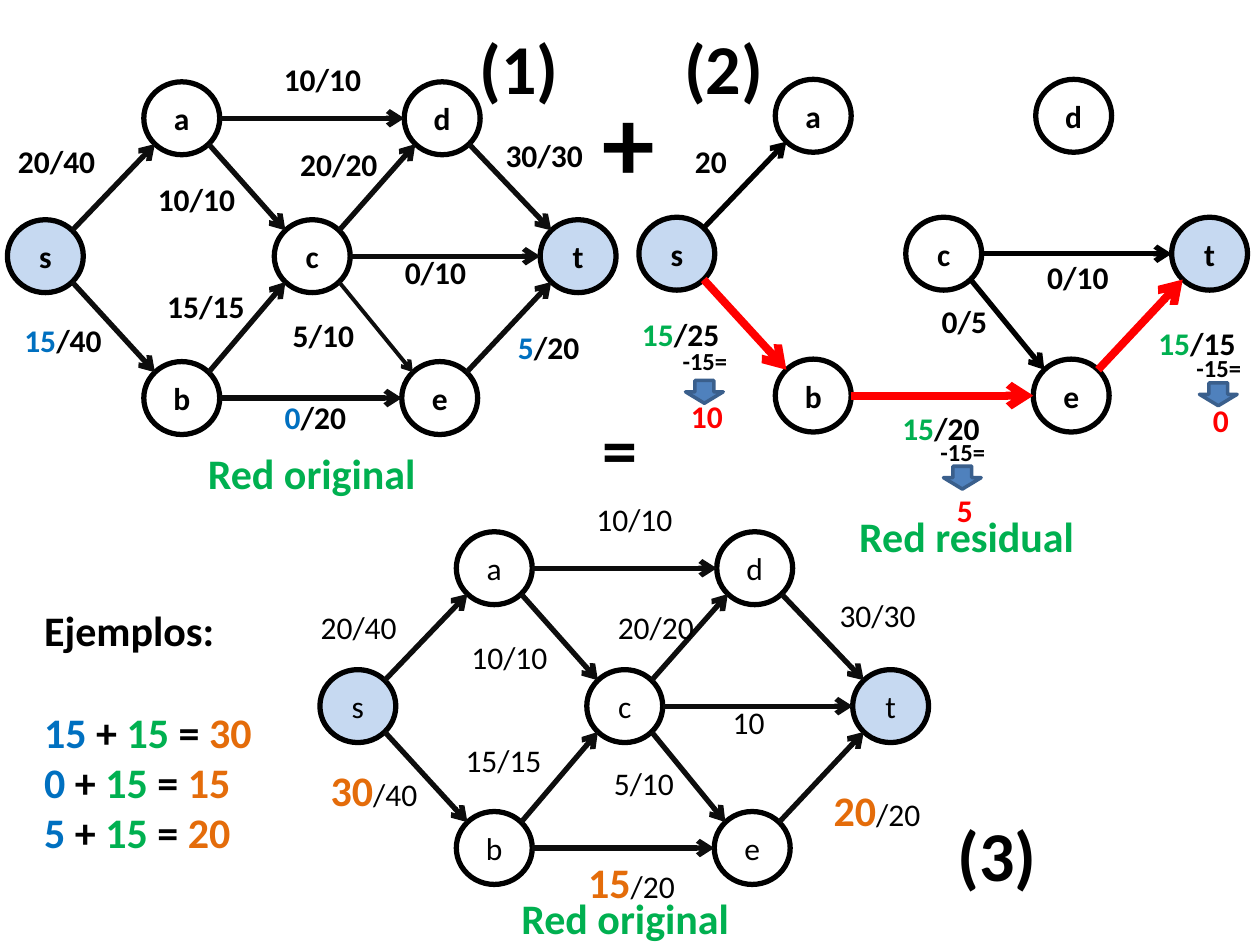
from lxml.etree import SubElement
from pptx import Presentation
from pptx.dml.color import RGBColor
from pptx.enum.shapes import MSO_CONNECTOR, MSO_SHAPE
from pptx.enum.text import MSO_ANCHOR, MSO_AUTO_SIZE, PP_ALIGN
from pptx.oxml.ns import qn
from pptx.util import Cm, Pt

COLORS = {"black": "000000", "ink": "0D0D0D", "pale": "C6D9F1", "blue": "0070C0",
          "green": "00B050", "orange": "E46C0A", "red": "FF0000",
          "arrow": "4F81BD", "outline": "3A5F8C"}
FONT = "Calibri"
NODE_W, NODE_H = 1.53, 1.47
NODES = {"s": (0, 2.78), "a": (2.75, 0), "b": (2.75, 5.64), "c": (5.38, 2.78),
         "d": (8, 0), "e": (7.95, 5.64), "t": (10.74, 2.78)}

# Each edge: end nodes, label ("|" ends the highlighted part), label centre x, label top
GRAPHS = [
    {"origin": (0.15, 1.65), "bold": True, "line": "ink", "lead": ("blue", 18),
     "thin": ("ce",), "flow": (),
     "edges": [("sa", "20/40", 1.14, 2.74), ("sb", "15|/40", 1.27, 6.35),
               ("ad", "10/10", 6.5, 1.09), ("ac", "10/10", 3.96, 3.51),
               ("bc", "15/15", 4.15, 5.66), ("be", "0|/20", 6.36, 7.9),
               ("cd", "20/20", 6.83, 2.79), ("ct", "0/10", 8.78, 4.98),
               ("ce", "5/10", 6.52, 6.25), ("dt", "30/30", 10.97, 2.62),
               ("et", "5|/20", 11.06, 6.48)]},
    {"origin": (12.88, 1.6), "bold": True, "line": "black", "lead": ("green", 18),
     "thin": (), "flow": ("sb", "be", "et"),
     "edges": [("sa", "20", 14.33, 2.74), ("sb", "15|/25", 13.72, 6.22),
               ("be", "15|/20", 18.97, 8.13), ("et", "15|/15", 24.13, 6.4),
               ("ct", "0/10", 21.73, 5.08), ("ce", "0/5", 19.44, 5.97)]},
    {"origin": (6.45, 10.72), "bold": False, "line": "ink", "lead": ("orange", 24),
     "thin": (), "flow": (),
     "edges": [("sa", "20/40", 7.23, 12.14), ("sb", "30|/40", 7.54, 15.29),
               ("ad", "10/10", 12.79, 9.96), ("ac", "10/10", 10.27, 12.73),
               ("bc", "15/15", 10.15, 14.81), ("be", "15|/20", 12.73, 17.15),
               ("cd", "20/20", 13.22, 12.14), ("ct", "10", 15.09, 14.05),
               ("ce", "5/10", 12.98, 15.27), ("dt", "30/30", 17.69, 11.89),
               ("et", "20|/20", 17.68, 15.7)]},
]
CAPTIONS = [("+", 11.89, 1.42, 1.83, 2.82, 60, "black"),
            ("=", 11.89, 8.05, 1.83, 1.96, 40, "black"),
            ("(1)", 9.42, 0.36, 4.24, 1.96, 40, "black"),
            ("(2)", 13.54, 0.36, 4.24, 1.96, 40, "black"),
            ("(3)", 19.05, 16.23, 4.24, 1.96, 40, "black"),
            ("Red original", 3.94, 8.89, 10.8, 1.27, 24, "green"),
            ("Red residual", 17.07, 10.16, 7.06, 1.27, 24, "green"),
            ("Red original", 10.26, 17.86, 10.8, 1.27, 24, "green")]
# Each reduction: x and y of the arrow, top of "-15=", result and its top
REDUCTIONS = [(13.82, 7.67, 6.86, "10", 7.87),
              (19.02, 9.4, 8.69, "5", 9.78),
              (24.18, 7.72, 6.99, "0", 7.95)]
SUMS = [("15", "30"), ("0", "15"), ("5", "20")]


def rgb(name):
    """Return the named colour."""
    return RGBColor.from_string(COLORS[name])


def add_runs(p, runs):
    """Fill a paragraph with (text, colour, size, bold) runs."""
    p.font.name = FONT
    for text, color, size, bold in runs:
        r = p.add_run()
        r.text = text
        r.font.name, r.font.size, r.font.bold = FONT, Pt(size), bold
        r.font.color.rgb = rgb(color)


def add_text(shapes, box, runs):
    """Add a wrapped, left-aligned text box and return its frame."""
    tf = shapes.add_textbox(*map(Cm, box)).text_frame
    tf.word_wrap = True
    tf.auto_size = MSO_AUTO_SIZE.SHAPE_TO_FIT_TEXT
    add_runs(tf.paragraphs[0], runs)
    return tf


def add_label(shapes, x, top, runs):
    """Add a one-line label centred on x, as wide as its text."""
    width = 0.51 + sum(len(text) * size * 0.0177 for text, _, size, _ in runs)
    height = 1.27 if runs[0][2] == 24 else 1.02
    tf = add_text(shapes, (x - width / 2, top, width, height), runs)
    tf.word_wrap = False
    tf.paragraphs[0].alignment = PP_ALIGN.CENTER


def add_node(shapes, name, origin, bold):
    """Add a round node; the source and the sink are filled."""
    x, y = (o + d for o, d in zip(origin, NODES[name]))
    sp = shapes.add_shape(MSO_SHAPE.OVAL, Cm(x), Cm(y), Cm(NODE_W), Cm(NODE_H))
    sp.shadow.inherit = False
    if name in "st":
        sp.fill.solid()
        sp.fill.fore_color.rgb = rgb("pale")
    else:
        sp.fill.background()
    sp.line.color.rgb, sp.line.width = rgb("black"), Pt(3)
    tf = sp.text_frame
    tf.word_wrap, tf.vertical_anchor = False, MSO_ANCHOR.MIDDLE
    p = tf.paragraphs[0]
    p.alignment = PP_ALIGN.CENTER
    add_runs(p, [(name, "black", 18, bold)])


def edge_ends(pair, origin):
    """Return both ends of an edge, on the rims of its nodes."""
    (x1, y1), (x2, y2) = (NODES[n] for n in pair)
    slope = (y2 > y1) - (y2 < y1)
    dx = NODE_W * (0.354 if slope else 0.5)
    dy = NODE_H * 0.354 * slope
    cx, cy = origin[0] + NODE_W / 2, origin[1] + NODE_H / 2
    return cx + x1 + dx, cy + y1 + dy, cx + x2 - dx, cy + y2 - dy


def add_arrow(shapes, ends, color, width):
    """Add a straight arrow."""
    line = shapes.add_connector(MSO_CONNECTOR.STRAIGHT, *map(Cm, ends))
    line.line.color.rgb, line.line.width = rgb(color), Pt(width)
    SubElement(line.line._get_or_add_ln(), qn("a:tailEnd"), type="arrow")
    SubElement(line._element.spPr, qn("a:effectLst"))


def add_graph(s, graph):
    """Add one flow network as a group."""
    shapes = s.shapes.add_group_shape().shapes
    origin, bold = graph["origin"], graph["bold"]
    for name in NODES:
        add_node(shapes, name, origin, bold)
    for pair, label, x, top in graph["edges"]:
        color, width = graph["line"], 2.25 if pair in graph["thin"] else 3
        if pair in graph["flow"]:
            color, width = "red", 4.5
        add_arrow(shapes, edge_ends(pair, origin), color, width)
        lead, _, rest = label.rpartition("|")
        runs = [(rest, "black", 18, bold)]
        if lead:
            runs.insert(0, (lead, *graph["lead"], True))
        add_label(shapes, x, top, runs)


def add_reduction(s, x, y, minus_top, result, result_top):
    """Add a subtraction, its down arrow and the result."""
    sp = s.shapes.add_shape(MSO_SHAPE.DOWN_ARROW, Cm(x), Cm(y), Cm(0.76), Cm(0.46))
    sp.shadow.inherit = False
    sp.fill.solid()
    sp.fill.fore_color.rgb = rgb("arrow")
    sp.line.color.rgb, sp.line.width = rgb("outline"), Pt(2)
    add_label(s.shapes, x + 0.43, result_top, [(result, "red", 18, True)])
    add_text(s.shapes, (x - 0.31, minus_top, 1.9, 0.86), [("-15=", "black", 14, True)])


def add_examples(s):
    """Add the worked sums."""
    tf = add_text(s.shapes, (0.64, 12.07, 5.31, 6.15), [("Ejemplos:", "black", 24, True)])
    tf.paragraphs[0].space_after = Pt(29)
    for flow, total in SUMS:
        parts = [(flow + " ", "blue"), ("+ ", "black"), ("15 ", "green"),
                 ("=", "black"), (" " + total, "orange")]
        add_runs(tf.add_paragraph(), [(text, color, 24, True) for text, color in parts])


def main():
    """Build the slide and save it."""
    prs = Presentation()
    prs.slide_width, prs.slide_height = Cm(25.4), Cm(19.05)
    s = prs.slides.add_slide(prs.slide_layouts[6])
    for graph in GRAPHS:
        add_graph(s, graph)
    for text, *box, size, color in CAPTIONS:
        add_text(s.shapes, box, [(text, color, size, True)])
    add_examples(s)
    for reduction in REDUCTIONS:
        add_reduction(s, *reduction)
    prs.save("out.pptx")


if __name__ == "__main__":
    main()
